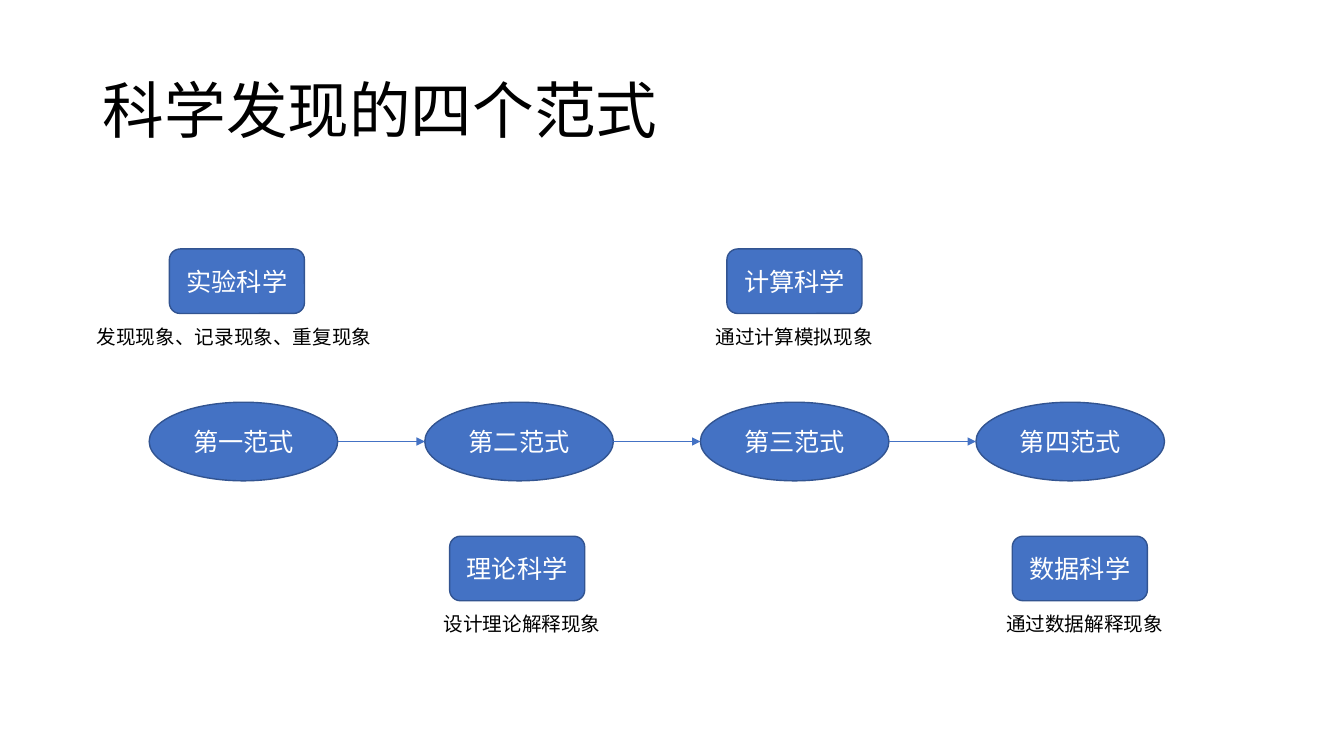
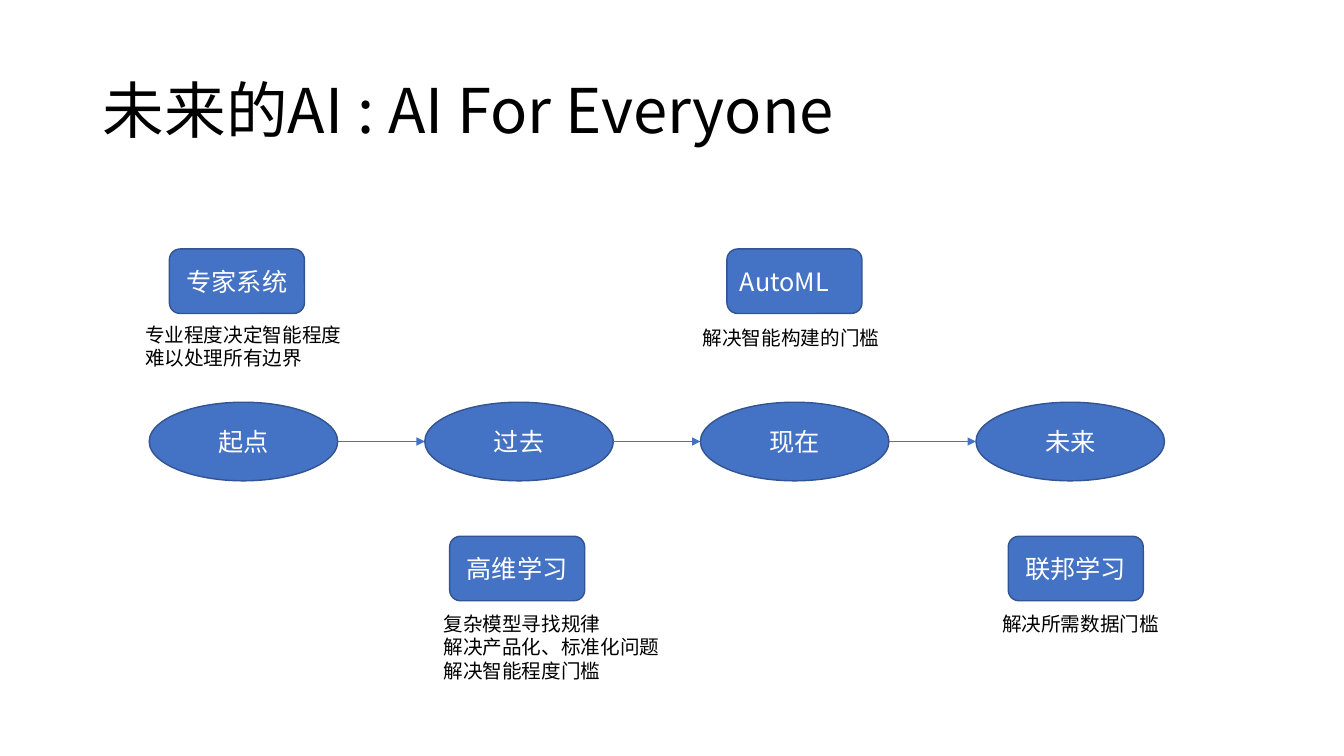
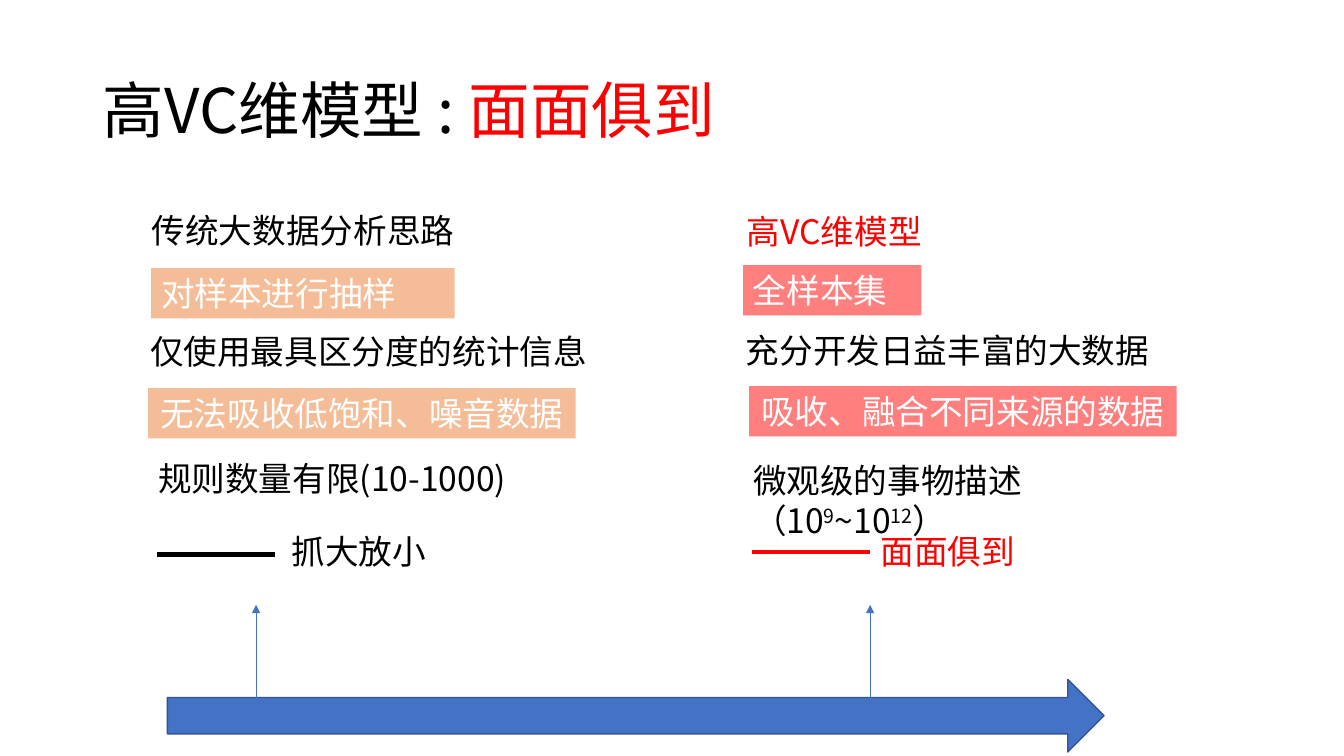
from dataclasses import dataclass

from lxml.etree import SubElement
from pptx import Presentation
from pptx.dml.color import RGBColor
from pptx.enum.shapes import MSO_CONNECTOR, MSO_SHAPE
from pptx.enum.text import MSO_ANCHOR, MSO_AUTO_SIZE, PP_ALIGN
from pptx.oxml.ns import qn
from pptx.util import Inches, Pt


@dataclass(frozen=True)
class Theme:
    font: str = "Noto Sans CJK SC"
    black: str = "000000"
    white: str = "FFFFFF"
    blue: str = "4472C4"
    outline: str = "325491"
    orange: str = "ED7D31"
    red: str = "FF0000"
    title: int = 44
    point: int = 24
    label: int = 18
    caption: int = 14


THEME = Theme()
LEFT, CENTER = PP_ALIGN.LEFT, PP_ALIGN.CENTER


def write(frame, lines, size, color, align=LEFT, anchor=MSO_ANCHOR.TOP):
    """Fill a frame; each line is a list of (text, options) runs."""
    frame.word_wrap = True
    frame.vertical_anchor = anchor
    for number, runs in enumerate(lines):
        paragraph = frame.add_paragraph() if number else frame.paragraphs[0]
        paragraph.alignment = align
        for text, options in runs:
            run = paragraph.add_run()
            run.text = text
            run.font.size = Pt(size)
            run.font.color.rgb = RGBColor.from_string(options.get("color", color))
            run.font.name = THEME.font
            properties = run._r.get_or_add_rPr()
            SubElement(properties, qn("a:ea")).set("typeface", THEME.font)
            if options.get("raised"):
                properties.set("baseline", "30000")


def draw_line(slide, start, end, color, width, arrow=False):
    line = slide.shapes.add_connector(
        MSO_CONNECTOR.STRAIGHT, *[Inches(v) for v in (*start, *end)])
    line.line.color.rgb = RGBColor.from_string(color)
    line.line.width = Pt(width)
    if arrow:
        SubElement(line.line._get_or_add_ln(), qn("a:tailEnd")).set("type", "triangle")
    SubElement(line._element.spPr, qn("a:effectLst"))


prs = Presentation()
prs.slide_width, prs.slide_height = Inches(13.33), Inches(7.5)

# Titles, one slide each
titles = [
    [("科学发现的四个范式", {})],
    [("未来的AI : AI For Everyone", {})],
    [("高VC维模型 : ", {}), ("面面俱到", {"color": THEME.red})],
]
slides = []
for title_runs in titles:
    slide = prs.slides.add_slide(prs.slide_layouts[5])
    title = slide.shapes.title
    title.left, title.top = Inches(0.92), Inches(0.4)
    title.width, title.height = Inches(11.5), Inches(1.45)
    write(title.text_frame, [title_runs], THEME.title, THEME.black, anchor=MSO_ANCHOR.MIDDLE)
    title.text_frame.auto_size = MSO_AUTO_SIZE.NONE
    title.text_frame.paragraphs[0].line_spacing = 0.9
    slides.append(slide)

# Timelines: stage, tag, tag left, caption (left, top, width), caption lines
timelines = [
    [
        ("第一范式", "实验科学", 1.68, (0.86, 3.17, 2.97), ["发现现象、记录现象、重复现象"]),
        ("第二范式", "理论科学", 4.46, (4.3, 6.02, 1.79), ["设计理论解释现象"]),
        ("第三范式", "计算科学", 7.21, (7, 3.17, 1.79), ["通过计算模拟现象"]),
        ("第四范式", "数据科学", 10.04, (9.88, 6.02, 1.79), ["通过数据解释现象"]),
    ],
    [
        ("起点", "专家系统", 1.68, (1.34, 3.15, 2.16),
         ["专业程度决定智能程度", "难以处理所有边界"]),
        ("过去", "高维学习", 4.46, (4.3, 6.02, 2.37),
         ["复杂模型寻找规律", "解决产品化、标准化问题", "解决智能程度门槛"]),
        ("现在", "AutoML", 7.21, (6.87, 3.18, 2.03), ["解决智能构建的门槛"]),
        ("未来", "联邦学习", 10, (9.84, 6.02, 1.79), ["解决所需数据门槛"]),
    ],
]
STAGE_LEFT, STAGE_TOP, STAGE_W, STAGE_H = 1.48, 3.99, 1.87, 0.78
STAGE_STEP = 8.2 / 3
TAG_TOPS = (2.47, 5.32)
TAG_W, TAG_H = 1.34, 0.64

for slide, stages in zip(slides, timelines):
    for index, (stage, tag, tag_left, caption_at, caption) in enumerate(stages):
        stage_left = STAGE_LEFT + index * STAGE_STEP
        tag_align = LEFT if tag == "AutoML" else CENTER
        blocks = [
            (MSO_SHAPE.OVAL, (stage_left, STAGE_TOP, STAGE_W, STAGE_H), stage, CENTER),
            (MSO_SHAPE.ROUNDED_RECTANGLE, (tag_left, TAG_TOPS[index % 2], TAG_W, TAG_H),
             tag, tag_align),
        ]
        for outline, box, text, align in blocks:
            block = slide.shapes.add_shape(outline, *[Inches(v) for v in box])
            block.shadow.inherit = False
            block.fill.solid()
            block.fill.fore_color.rgb = RGBColor.from_string(THEME.blue)
            block.line.color.rgb = RGBColor.from_string(THEME.outline)
            block.line.width = Pt(1)
            write(block.text_frame, [[(text, {})]], THEME.label, THEME.white,
                  align, MSO_ANCHOR.MIDDLE)

        # Caption under the tag
        height = 0.1 + 0.24 * len(caption)
        note = slide.shapes.add_textbox(*[Inches(v) for v in (*caption_at, height)])
        write(note.text_frame, [[(line, {})] for line in caption],
              THEME.caption, THEME.black)
        note.text_frame.auto_size = MSO_AUTO_SIZE.SHAPE_TO_FIT_TEXT

        # Arrow from the stage before
        if index:
            middle = STAGE_TOP + STAGE_H / 2
            draw_line(slide, (stage_left - STAGE_STEP + STAGE_W, middle),
                      (stage_left, middle), THEME.blue, 0.5, arrow=True)

# Comparison: wide arrow along the bottom
comparison = slides[2]
progress = comparison.shapes.add_shape(
    MSO_SHAPE.RIGHT_ARROW, Inches(1.66), Inches(6.74), Inches(9.29), Inches(0.72))
progress.shadow.inherit = False
progress.fill.solid()
progress.fill.fore_color.rgb = RGBColor.from_string(THEME.blue)
progress.line.color.rgb = RGBColor.from_string(THEME.outline)
progress.line.width = Pt(1)

# Plain points: left, top, width, colour, alignment, runs
points = [
    (1.06, 2.03, 3.89, THEME.black, CENTER, [("传统大数据分析思路", {})]),
    (1.39, 3.23, 4.95, THEME.black, LEFT, [("仅使用最具区分度的统计信息", {})]),
    (1.47, 4.49, 4.01, THEME.black, LEFT, [("规则数量有限(10-1000)", {})]),
    (2.73, 5.22, 1.66, THEME.black, CENTER, [("抓大放小", {})]),
    (6.33, 2.04, 3.89, THEME.red, CENTER, [("高VC维模型", {})]),
    (7.3, 3.22, 4.66, THEME.black, LEFT, [("充分开发日益丰富的大数据", {})]),
    (7.37, 4.51, 4.51, THEME.black, LEFT, [
        ("微观级的事物描述（10", {}), ("9", {"raised": True}),
        ("~10", {}), ("12", {"raised": True}), ("）", {})]),
    (8.57, 5.22, 1.66, THEME.red, CENTER, [("面面俱到", {})]),
]
for left, top, width, color, align, runs in points:
    point = comparison.shapes.add_textbox(
        Inches(left), Inches(top), Inches(width), Inches(0.5))
    write(point.text_frame, [runs], THEME.point, color, align)
    point.text_frame.auto_size = MSO_AUTO_SIZE.SHAPE_TO_FIT_TEXT

# Highlighted points on half-transparent bands
highlights = [
    (1.5, 2.66, 3.01, THEME.orange, LEFT, "对样本进行抽样"),
    (1.47, 3.85, 4.24, THEME.orange, CENTER, "无法吸收低饱和、噪音数据"),
    (7.37, 2.63, 1.77, THEME.red, LEFT, "全样本集"),
    (7.43, 3.83, 4.24, THEME.red, CENTER, "吸收、融合不同来源的数据"),
]
for left, top, width, color, align, text in highlights:
    band = comparison.shapes.add_shape(
        MSO_SHAPE.RECTANGLE, Inches(left), Inches(top), Inches(width), Inches(0.5))
    band.shadow.inherit = False
    band.fill.solid()
    band.fill.fore_color.rgb = RGBColor.from_string(color)
    tint = band._element.spPr.find(qn("a:solidFill")).find(qn("a:srgbClr"))
    SubElement(tint, qn("a:alpha")).set("val", "50000")
    band.line.fill.background()
    write(band.text_frame, [[(text, {})]], THEME.point, THEME.white, align)
    band.text_frame.word_wrap = align == LEFT
    band.text_frame.auto_size = MSO_AUTO_SIZE.SHAPE_TO_FIT_TEXT

# Dashes before the conclusions, and arrows up to them
for left, top, color in [(1.56, 5.5, THEME.black), (7.46, 5.48, THEME.red)]:
    draw_line(comparison, (left, top), (left + 1.17, top), color, 3)
for x, bottom in [(2.54, 6.93), (8.63, 7.1)]:
    draw_line(comparison, (x, bottom), (x, 6), THEME.blue, 0.5, arrow=True)

prs.save("out.pptx")
